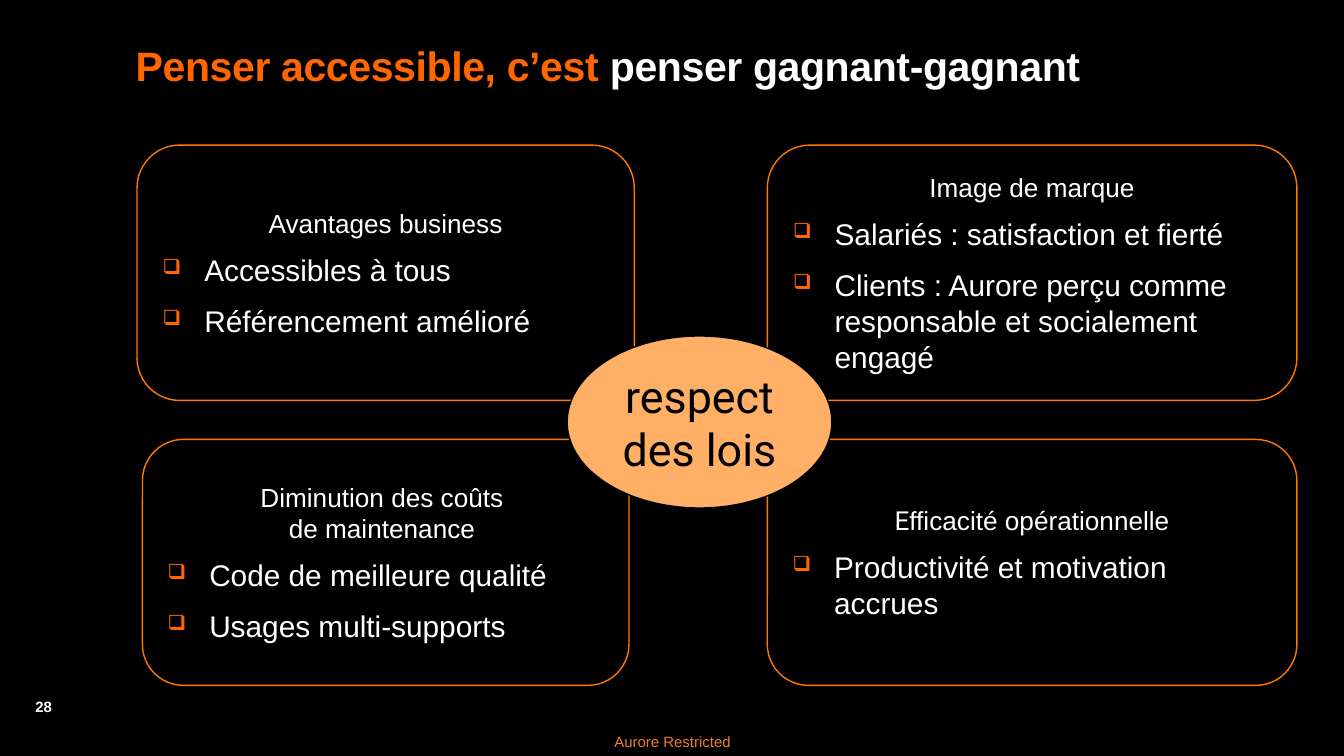
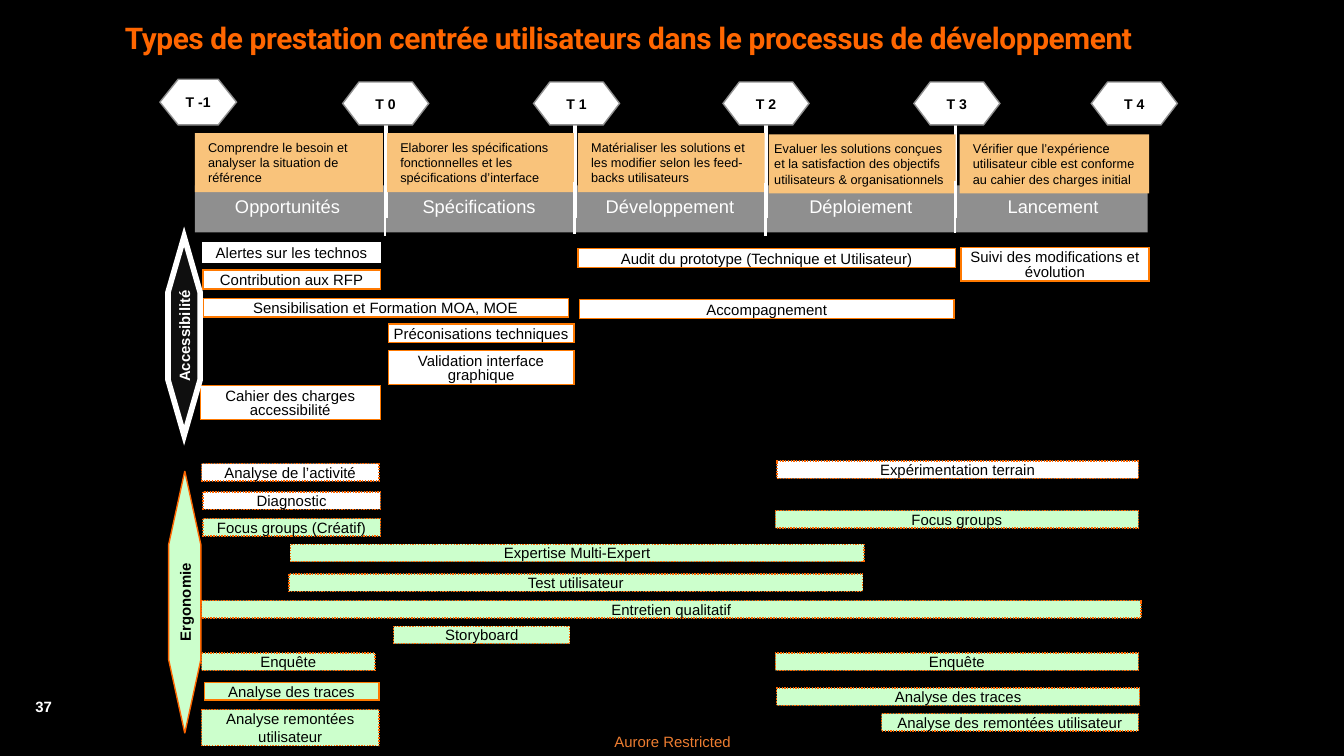
from dataclasses import dataclass

from lxml import etree
from pptx import Presentation
from pptx import util as u
from pptx.dml.color import RGBColor
from pptx.enum import dml, shapes, text
from pptx.oxml import ns

PX = 9144  # EMU per px, 100 px to the inch
KIND = shapes.MSO_SHAPE
MID, TOP = text.MSO_ANCHOR.MIDDLE, text.MSO_ANCHOR.TOP
LEFT, CENTER = text.PP_ALIGN.LEFT, text.PP_ALIGN.CENTER


@dataclass(frozen=True)
class Theme:
    black: str = "000000"
    white: str = "FFFFFF"
    orange: str = "FF6600"
    edge: str = "FF7900"
    foot: str = "ED7D31"
    peach: str = "FFAF66"
    sand: str = "F9C37B"
    grey: str = "8F8F8F"
    mint: str = "CCFFCC"
    sans: str = "Arial"
    alt: str = "Roboto"
    thin: float = 0.75
    bold: float = 2
    thick: float = 3
    title: float = 22
    small: float = 16
    hub: float = 24
    head: float = 14
    item: float = 16
    stage: float = 9.8
    note: float = 6.8
    mark: float = 7.5
    label: float = 8


T = Theme()


def px(n):
    return u.Emu(round(n * PX))


def rgb(code):
    return RGBColor.from_string(code)


def add(parent, tag, **attrs):
    return etree.SubElement(parent, ns.qn(tag), attrs)


class Deck:
    """Holds the presentation, its style and the current slide."""

    def __init__(self):
        self.prs = Presentation()
        self.prs.slide_width = px(1000)
        self.prs.slide_height = px(1000) * 9 // 16
        fill = self.prs.slide_master.background.fill
        fill.solid()
        fill.fore_color.rgb = rgb(T.black)
        self.slide = None

    def page(self, num, box, runs, size):
        """Start a slide with its title, footer and number."""
        self.slide = self.prs.slides.add_slide(self.prs.slide_layouts[5])
        title = self.slide.shapes.title
        title.left, title.top, title.width, title.height = map(px, box)
        self.para(self.frame(title, TOP), runs, size, bold=True, align=LEFT,
                  lead=0.9, track=-20)
        self.text((438, 540, 125, 23), "Aurore Restricted", T.label, T.foot,
                  pad=(0, 0, 0, 0), anchor=MID)
        self.text((10, 514, 45, 24), num, T.label, T.white, bold=True, wrap=False)

    def frame(self, shape, anchor=MID, pad=(10, 5, 10, 5), wrap=True):
        frame = shape.text_frame
        frame.auto_size = text.MSO_AUTO_SIZE.NONE
        frame.word_wrap = wrap
        frame.vertical_anchor = anchor
        (frame.margin_left, frame.margin_top,
         frame.margin_right, frame.margin_bottom) = map(px, pad)
        return frame

    def para(self, frame, runs, size, color=T.white, font=T.sans, bold=False,
             align=CENTER, lead=None, after=None, bullet=False, track=None):
        """Add a paragraph; runs is a string or (text, color, font) tuples."""
        first = frame.paragraphs[0]
        par = frame.add_paragraph() if first.runs else first
        if bullet:
            self.bullet(par)
        par.alignment = align
        par.line_spacing = lead
        if after:
            par.space_after = u.Pt(after)
        if isinstance(runs, str):
            runs = [(runs, color, font)]
        for words, tint, face in runs:
            for i, line in enumerate(words.split("\n")):
                if i:
                    par.add_line_break()
                run = par.add_run()
                run.text = line
                run.font.size, run.font.name = u.Pt(size), face
                run.font.bold = bold
                run.font.color.rgb = rgb(tint)
                if track:
                    run.font._element.set("spc", str(track))

    def bullet(self, par):
        props = par._p.get_or_add_pPr()
        props.set("marL", str(px(31)))
        props.set("indent", str(px(-31)))
        add(add(props, "a:buClr"), "a:srgbClr", val=T.orange)
        add(props, "a:buSzPct", val="70000")
        add(props, "a:buChar", char="❑")

    def text(self, box, words, size, color, anchor=TOP, pad=(10, 5, 10, 5),
             wrap=True, bold=False):
        shape = self.slide.shapes.add_textbox(*map(px, box))
        self.para(self.frame(shape, anchor, pad, wrap), words, size, color, bold=bold)

    def shape(self, kind, box, fill=None, line=None, width=T.thin, dots=False,
              adj=None, turn=0, alpha=None):
        shape = self.slide.shapes.add_shape(kind, *map(px, box))
        shape.shadow.inherit = False
        shape.rotation = turn
        if adj is not None:
            shape.adjustments[0] = adj
        if fill:
            shape.fill.solid()
            shape.fill.fore_color.rgb = rgb(fill)
        else:
            shape.fill.background()
        if alpha is not None:
            tint = shape.fill._xPr.find(".//" + ns.qn("a:srgbClr"))
            add(tint, "a:alpha", val=str(alpha * 1000))
        if line:
            shape.line.color.rgb = rgb(line)
            shape.line.width = u.Pt(width)
            if dots:
                shape.line.dash_style = dml.MSO_LINE.ROUND_DOT
            add(shape.line._get_or_add_ln(), "a:miter", lim="800000")
        else:
            shape.line.fill.background()
        return shape

    def card(self, box, head, items):
        shape = self.shape(KIND.ROUNDED_RECTANGLE, box, line=T.edge)
        frame = self.frame(shape)
        self.para(frame, head, T.head, after=T.head / 2)
        for item in items:
            self.para(frame, item, T.item, align=LEFT, after=T.item / 2, bullet=True)

    def task(self, box, words, fill=T.white, line=T.edge):
        """Solid bar with tight lines, set from the top."""
        shape = self.shape(KIND.RECTANGLE, box, fill, line)
        self.para(self.frame(shape, TOP, (1, 3, 1, 0)), words, T.label, T.black,
                  lead=0.8)

    def study(self, box, words, fill=T.mint, dots=True):
        """Bar with a dotted edge and centred text."""
        shape = self.shape(KIND.RECTANGLE, box, fill,
                           T.orange if dots else T.edge, dots=dots)
        side = 0 if box[3] > 13 else 10
        self.para(self.frame(shape, MID, (side, 0, side, 0)), words, T.label, T.black)

    def mark(self, box, words, adj):
        shape = self.shape(KIND.HEXAGON, box, T.white, T.grey, adj=adj)
        self.para(self.frame(shape, wrap=False), words, T.mark, T.black, bold=True)

    def spine(self, box, words, color, **style):
        """Upright hexagon that names a group of bars."""
        shape = self.shape(KIND.HEXAGON, box, turn=270, **style)
        self.para(self.frame(shape, pad=(1, 1, 1, 1)), words, T.label, color, bold=True)

    def rule(self, x, top, end):
        line = self.slide.shapes.add_connector(
            shapes.MSO_CONNECTOR.STRAIGHT, px(x), px(top), px(x), px(end))
        line.line.color.rgb = rgb(T.white)
        line.line.width = u.Pt(T.bold)
        add(line._element.spPr, "a:effectLst")


CARDS = [
    ((102, 108, 370, 190), "Avantages business",
     ["Accessibles à tous", "Référencement amélioré"]),
    ((571, 108, 394, 190), "Image de marque",
     ["Salariés : satisfaction et fierté",
      "Clients : Aurore perçu comme responsable et socialement engagé"]),
    ((106, 327, 362, 183), "Diminution des coûts \nde maintenance ",
     ["Code de meilleure qualité", "Usages multi-supports"]),
    ((571, 327, 394, 183),
     [("E", T.white, T.alt), ("fficacité opérationnelle", T.white, T.sans)],
     ["Productivité et motivation accrues"]),
]

# left, top, width, side inset, name, aim
STAGES = [
    (145, 99, 140, 10, "Opportunités",
     "Comprendre le besoin et analyser la situation de référence"),
    (288, 99, 139, 10, "Spécifications",
     "Elaborer les spécifications fonctionnelles et les spécifications d’interface"),
    (430, 99, 139, 10, "Développement",
     "Matérialiser les solutions et les modifier selon les feed-backs utilisateurs"),
    (572, 100, 139, 4, "Déploiement",
     "Evaluer les solutions conçues et la satisfaction des objectifs "
     "utilisateurs & organisationnels"),
    (714, 100, 141, 10, "Lancement",
     "Vérifier que l’expérience utilisateur cible est conforme au cahier "
     "des charges initial"),
]

TASKS = [
    ((151, 201, 132, 14), "Contribution aux RFP"),
    ((151, 222, 272, 14), "Sensibilisation et Formation MOA, MOE"),
    ((289, 241, 138, 14), "Préconisations techniques"),
    ((289, 261, 138, 25), "Validation interface graphique"),
    ((430, 185, 281, 14), "Audit du prototype (Technique et Utilisateur)"),
    ((431, 223, 279, 14), "Accompagnement"),
    ((715, 184, 140, 25), "Suivi des modifications et évolution"),
    ((149, 287, 134, 25), "Cahier des charges accessibilité"),
]

PLAIN = [
    ((150, 345, 132, 13), "Analyse de l’activité"),
    ((578, 343, 269, 13), "Expérimentation terrain"),
    ((151, 366, 132, 13), "Diagnostic"),
]

STUDIES = [
    ((151, 386, 132, 13), "Focus groups (Créatif)"),
    ((216, 405, 427, 13), "Expertise Multi-Expert"),
    ((215, 427, 427, 13), "Test utilisateur"),
    ((577, 380, 270, 13), "Focus groups"),
    ((577, 486, 270, 13), "Enquête"),
    ((578, 512, 270, 13), "Analyse des traces"),
    ((656, 531, 191, 13), "Analyse des remontées utilisateur"),
    ((150, 486, 129, 13), "Enquête"),
    ((150, 528, 132, 27), "Analyse remontées utilisateur"),
    ((150, 447, 699, 13), "Entretien qualitatif"),
    ((293, 466, 131, 13), "Storyboard"),
]


def gains(deck):
    deck.page("28", (91, 29, 882, 81),
              [("Penser accessible, c’est ", T.orange, T.sans),
               ("penser gagnant-gagnant", T.white, T.sans)], T.title)
    for card in CARDS:
        deck.card(*card)
    hub = deck.shape(KIND.OVAL, (422, 250, 197, 128), T.peach, T.black)
    deck.para(deck.frame(hub), "respect des lois", T.hub, T.black, T.alt)


def phases(deck):
    deck.page("37", (83, 13, 882, 81),
              [("Types de prestation centrée utilisateurs dans le processus "
                "de développement", T.orange, T.alt)], T.small)
    deck.shape(KIND.RECTANGLE, (145, 138, 709, 35), T.grey)
    cuts = (287, 428, 570, 711)
    for x in cuts:
        deck.rule(x, 75, 162)
    deck.mark((119, 59, 57, 34), "T -1", 0.4)
    for i, x in enumerate((255, 397, 538, 680, 812)):
        deck.mark((x, 61, 64, 32), f"T {i}", 0.38)
    for x, y, wide, side, name, aim in STAGES:
        deck.text((x - 1, 140, wide, 26), name, T.stage, T.white)
        box = deck.shape(KIND.RECTANGLE, (x, y, wide, 44), T.sand)
        deck.para(deck.frame(box, TOP, (side, 5, side, 5)), aim, T.note, T.black,
                  align=LEFT)
    for x, y in zip(cuts, (137, 136, 137, 135)):
        deck.shape(KIND.RECTANGLE, (x - 1, y, 1, 38), T.white, T.white)

    deck.task((151, 181, 132, 14), "Alertes sur les technos", line=T.white)
    for box, words in TASKS:
        deck.task(box, words)
    deck.study((152, 508, 130, 13), "Analyse des traces", dots=False)
    for box, words in PLAIN:
        deck.study(box, words, T.white)
    for box, words in STUDIES:
        deck.study(box, words)

    deck.spine((63, 238, 148, 24), "Accessibilité", T.white, fill=T.white,
               alpha=6, line=T.white, width=T.thick, adj=1.73)
    deck.spine((40, 436, 195, 24), "Ergonomie", T.black, fill=T.mint,
               line=T.orange, adj=2.28)


def main():
    deck = Deck()
    gains(deck)
    phases(deck)
    deck.prs.save("out.pptx")


if __name__ == "__main__":
    main()
